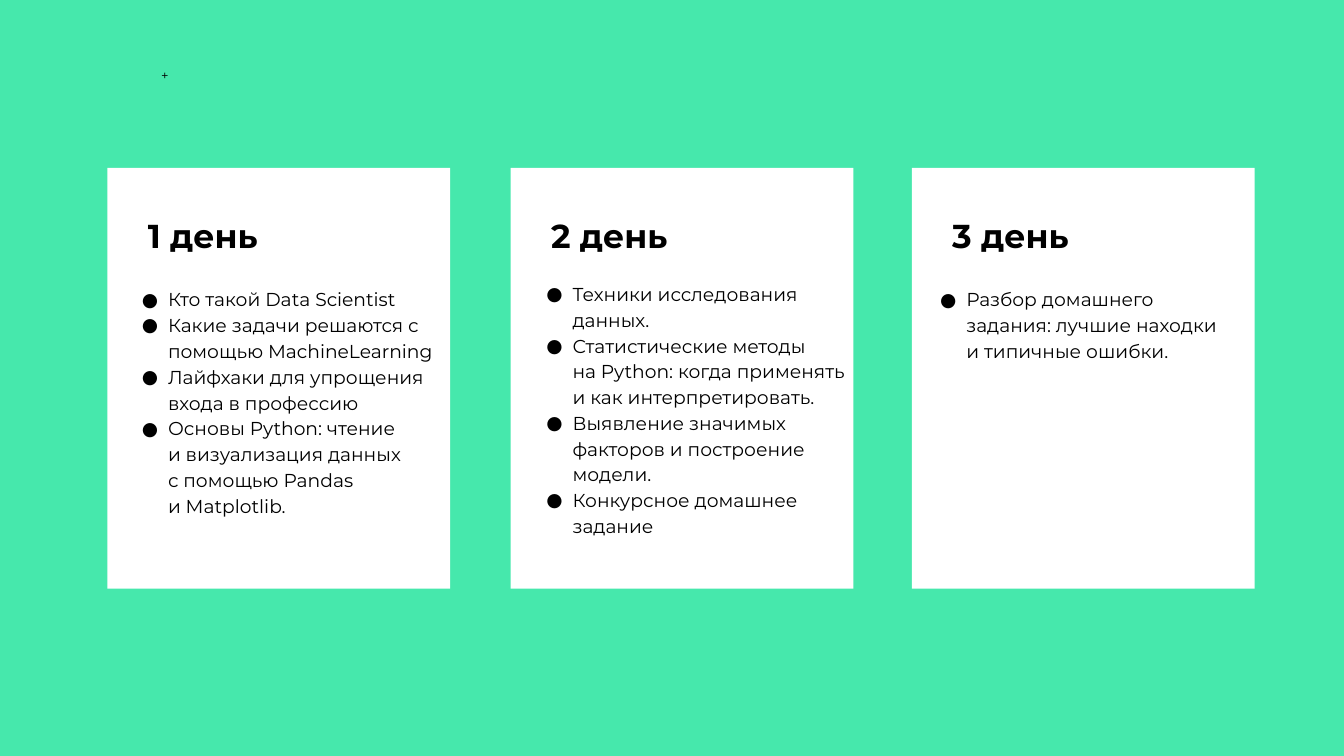
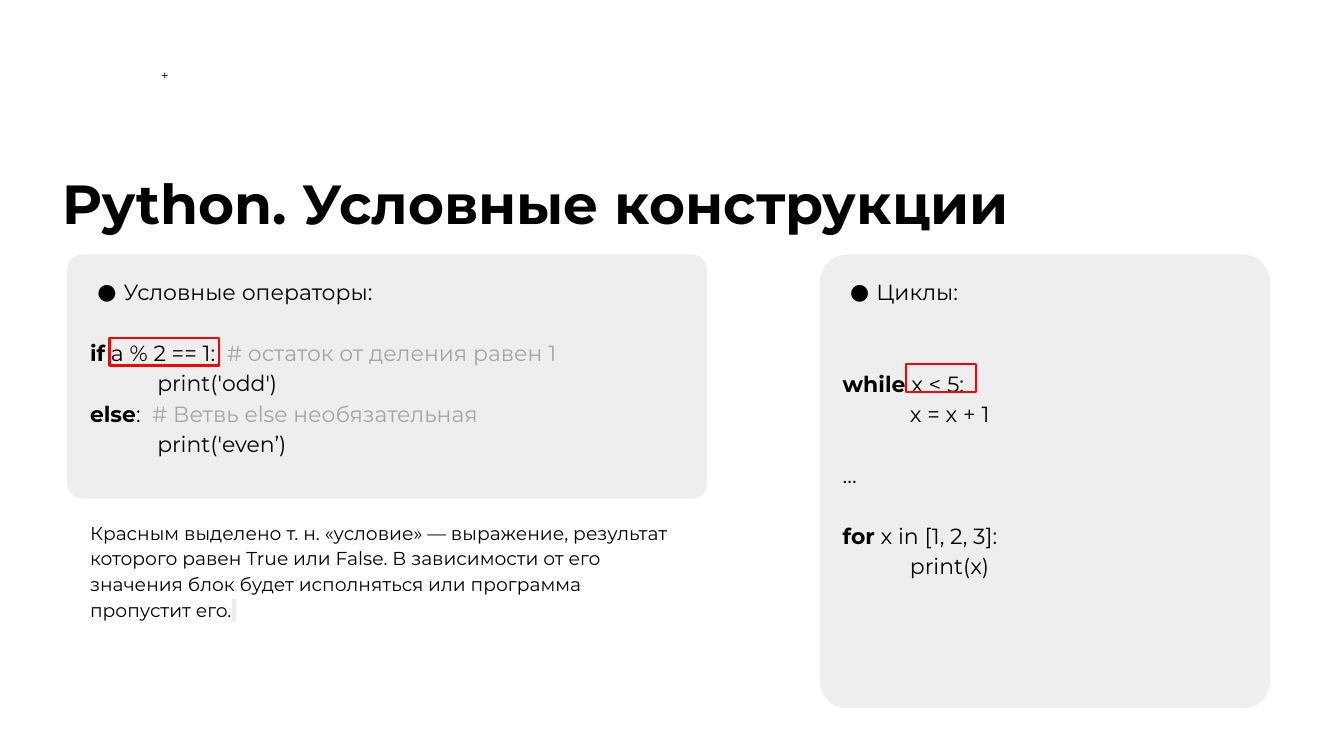
from dataclasses import dataclass

from lxml.etree import SubElement
from pptx import Presentation
from pptx.dml.color import RGBColor
from pptx.enum.shapes import MSO_SHAPE as SHAPE
from pptx.enum.text import MSO_ANCHOR as ANCHOR, MSO_AUTO_SIZE as FIT, PP_ALIGN as ALIGN
from pptx.oxml.ns import qn
from pptx.util import Inches, Pt

COLORS = {
    "mint": "46E8AC",
    "white": "FFFFFF",
    "black": "000000",
    "panel": "EEEEEE",
    "comment": "A5A5A5",
    "condition": "FF0000",
    "marker": "EDEBE9",
}
FONT = "Montserrat"
LIST_SIZE = 20
CODE_SIZE = 23.5
CODE_LINE = 32.8
HANG = 0.39


@dataclass
class Line:
    spans: list
    margin: float = 0
    bullet: bool = False
    gap: float = 0
    size: float = LIST_SIZE


def bullet(text, margin=0.5, size=LIST_SIZE):
    return Line([(text, "plain")], margin, True, size=size)


def code(*spans, margin=0, gap=0):
    return Line(list(spans), margin, gap=gap * CODE_LINE, size=CODE_SIZE)


def color(name):
    return RGBColor.from_string(COLORS[name])


class Slides:
    def __init__(self):
        self.deck = Presentation()
        self.deck.slide_width = Inches(20)
        self.deck.slide_height = Inches(11.25)
        self.page = None

    def start(self, layout, background):
        self.page = self.deck.slides.add_slide(self.deck.slide_layouts.get_by_name(layout))
        fill = self.page.background.fill
        fill.solid()
        fill.fore_color.rgb = color(background)
        self.free = list(self.page.placeholders)
        self.title_box = self.free.pop(0)

    def finish(self):
        unused = [box for box in self.free + [self.title_box] if not box.text_frame.text]
        for box in unused:
            box.element.getparent().remove(box.element)

    def place(self, box, left, top, width, height):
        box.left, box.top = Inches(left), Inches(top)
        box.width, box.height = Inches(width), Inches(height)
        self.page.shapes.element.append(box.element)
        self.frame(box)

    def frame(self, box, left=0.1, top=0.1):
        frame = box.text_frame
        frame.word_wrap = True
        frame.auto_size = FIT.NONE
        frame.vertical_anchor = ANCHOR.TOP
        frame.margin_left, frame.margin_top = Inches(left), Inches(top)
        frame.margin_right = frame.margin_bottom = Inches(0.1)

    def style(self, span, size, bold=False, ink="black"):
        span.font.name = FONT
        span.font.size = Pt(size)
        span.font.bold = bold
        span.font.color.rgb = color(ink)

    def label(self, box, text, size, bold=False):
        box.text_frame.text = text
        paragraph = box.text_frame.paragraphs[0]
        paragraph.alignment = ALIGN.LEFT
        self.style(paragraph.runs[0], size, bold)

    def title(self, text):
        self.place(self.title_box, 0.83, 2.42, 19.29, 1.2)
        self.label(self.title_box, text, 59, True)

    def plus(self):
        box = self.page.shapes.add_textbox(Inches(2.3), Inches(0.91), Inches(0.35), Inches(0.44))
        self.frame(box)
        self.label(box, "+", 14)

    def shape(self, kind, left, top, width, height, fill=None, line=None):
        box = self.page.shapes.add_shape(
            kind, Inches(left), Inches(top), Inches(width), Inches(height))
        box.shadow.inherit = False
        if fill:
            box.fill.solid()
            box.fill.fore_color.rgb = color(fill)
        else:
            box.fill.background()
        if line:
            box.line.color.rgb = color(line)
            box.line.width = Pt(2.25)
        else:
            box.line.fill.background()
        return box

    def card(self, left, heading):
        box = self.shape(SHAPE.RECTANGLE, left, 2.5, 5.1, 6.26, "white")
        self.frame(box, left=0.6, top=0.7)
        self.label(box, heading, 35.5, True)

    def panel(self, left, width, height):
        box = self.shape(SHAPE.ROUNDED_RECTANGLE, left, 3.79, width, height, "panel")
        box.adjustments[0] = 0.06

    def condition(self, left, top, width):
        self.shape(SHAPE.RECTANGLE, left, top, width, 0.41, line="condition")

    def body(self, left, top, width, height, lines):
        box = self.free.pop(0)
        self.place(box, left, top, width, height)
        frame = box.text_frame
        for number, line in enumerate(lines):
            paragraph = frame.add_paragraph() if number else frame.paragraphs[0]
            self.set_line(paragraph, line)

    def set_line(self, paragraph, line):
        paragraph.alignment = ALIGN.LEFT
        paragraph.line_spacing = 1.15
        paragraph.space_before = Pt(line.gap)
        paragraph.space_after = Pt(0)
        self.mark(paragraph, line)
        for text, look in line.spans:
            for number, part in enumerate(text.split("\n")):
                if number:
                    paragraph.add_line_break()
                span = paragraph.add_run()
                span.text = part
                ink = "comment" if look == "comment" else "black"
                self.style(span, line.size, look == "bold", ink)
                if look == "marker":
                    self.highlight(span)
        for line_break in paragraph._p.findall(qn("a:br")):
            SubElement(line_break, qn("a:rPr"), sz=str(int(line.size * 100)))

    def mark(self, paragraph, line):
        props = paragraph._p.get_or_add_pPr()
        props.set("marL", str(Inches(line.margin)))
        props.set("indent", str(Inches(-HANG if line.bullet else 0)))
        if line.bullet:
            SubElement(SubElement(props, qn("a:buClr")), qn("a:srgbClr"), val=COLORS["black"])
            SubElement(props, qn("a:buFont"), typeface=FONT)
            SubElement(props, qn("a:buChar"), char="●")
        else:
            SubElement(props, qn("a:buNone"))

    def highlight(self, span):
        props = span.font._element
        marker = SubElement(props, qn("a:highlight"))
        SubElement(marker, qn("a:srgbClr"), val=COLORS["marker"])
        props.find(qn("a:solidFill")).addnext(marker)


def days_slide(slides):
    slides.start("Comparison", "mint")
    slides.plus()
    first_day = [
        bullet("Кто такой Data Scientist", 1.06),
        bullet("Какие задачи решаются с помощью MachineLearning", 1.06),
        bullet("Лайфхаки для упрощения входа в профессию", 1.06),
        bullet("Основы Python: чтение \nи визуализация данных \n"
               "с помощью Pandas \nи Matplotlib.", 1.06),
    ]
    second_day = [
        bullet("Техники исследования данных."),
        bullet("Статистические методы"),
        Line([("на Python: когда применять", "plain")], 0.5),
        Line([("и как интерпретировать.", "plain")], 0.5),
        bullet("Выявление значимых факторов и построение модели."),
        bullet("Конкурсное домашнее задание"),
    ]
    third_day = [bullet("Разбор домашнего задания: лучшие находки и типичные ошибки.", 1.06)]
    days = [
        (1.6, (1.34, 4.14, 5.42, 4.02), first_day),
        (7.6, (7.92, 4.06, 4.93, 4.41), second_day),
        (13.57, (13.22, 4.14, 5.1, 1.31), third_day),
    ]
    for number, (card_left, place, lines) in enumerate(days, 1):
        slides.card(card_left, f"{number} день")
        slides.body(*place, lines)
    slides.finish()


def conditions_slide(slides):
    slides.start("Two Content", "white")
    slides.panel(1, 9.52, 3.63)
    slides.panel(12.2, 6.7, 6.75)
    slides.title("Python. Условные конструкции")
    explanation = (
        "Красным выделено т. н. «условие» — выражение, результат которого равен "
        "True или False. В зависимости от его значения блок будет исполняться "
        "или программа \nпропустит его."
    )
    slides.body(1.24, 3.99, 9.13, 7.19, [
        bullet("Условные операторы:", size=CODE_SIZE),
        code(("if", "bold"), (" a % 2 == 1:  ", "plain"),
             ("# остаток от деления равен 1", "comment"), gap=1),
        code(("print('odd')", "plain"), margin=1),
        code(("else", "bold"), (":  ", "plain"), ("# Ветвь else необязательная", "comment")),
        code(("print('even’)", "plain"), margin=1),
        Line([(explanation, "plain"), (" ", "marker")], gap=2 * CODE_LINE),
    ])
    slides.condition(1.63, 5.03, 1.63)
    slides.body(12.44, 3.99, 9.13, 5.15, [
        bullet("Циклы:", size=CODE_SIZE),
        code(("while", "bold"), (" x < 5:", "plain"), gap=2),
        code(("x = x + 1", "plain"), margin=1),
        code(("…", "plain"), gap=1),
        code(("for", "bold"), (" x in [1, 2, 3]:", "plain"), gap=1),
        code(("print(x)", "plain"), margin=1),
    ])
    slides.condition(13.48, 5.42, 1.05)
    slides.plus()
    slides.finish()


def main():
    slides = Slides()
    days_slide(slides)
    conditions_slide(slides)
    slides.deck.save("out.pptx")


if __name__ == "__main__":
    main()
